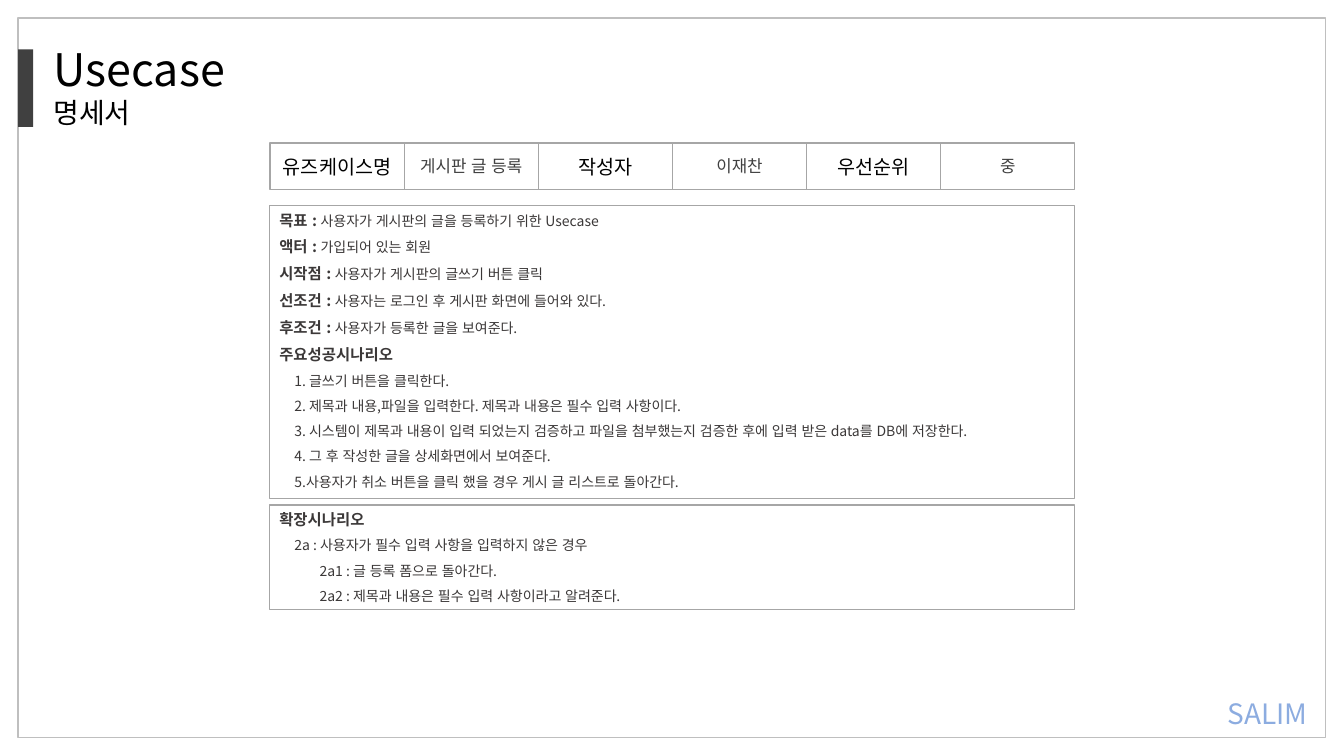
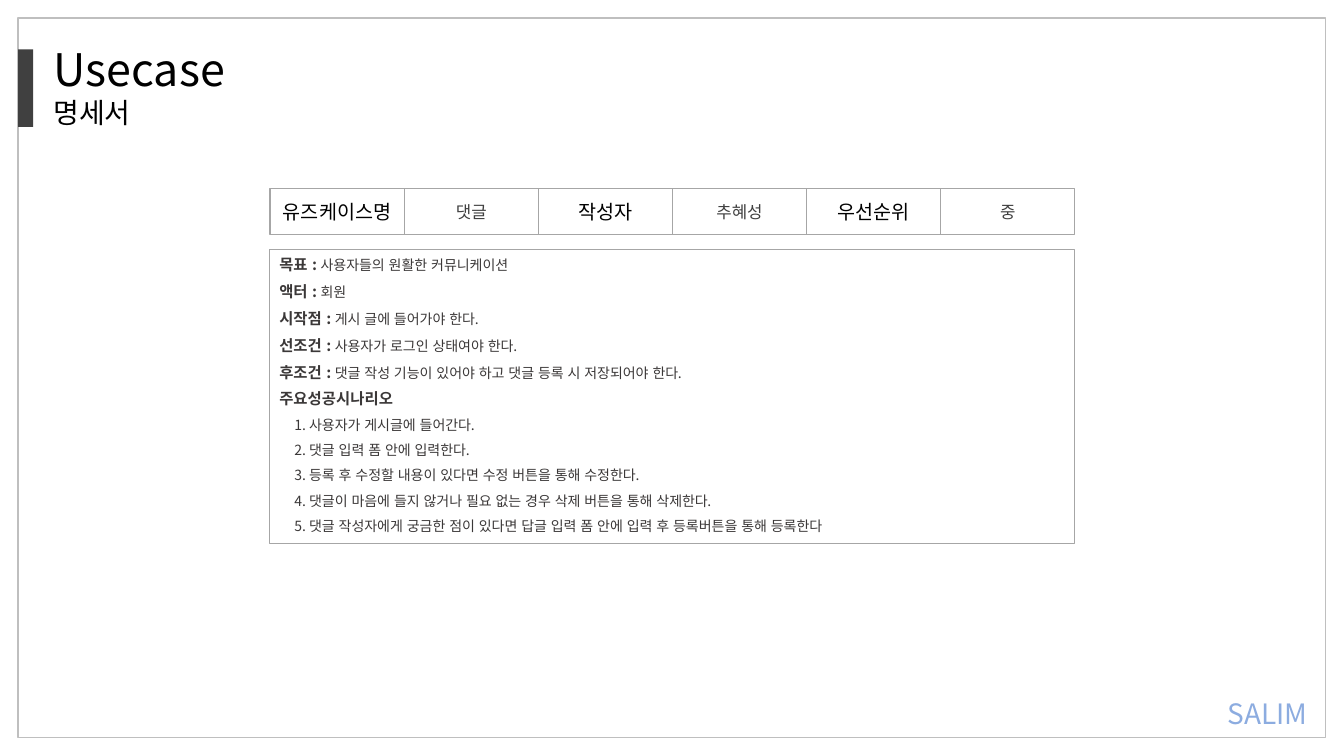
from lxml.etree import SubElement
from pptx import Presentation
from pptx.dml.color import RGBColor
from pptx.enum.lang import MSO_LANGUAGE_ID
from pptx.enum.shapes import MSO_SHAPE
from pptx.enum.text import MSO_ANCHOR, MSO_AUTO_SIZE, PP_ALIGN
from pptx.oxml.ns import qn
from pptx.util import Inches, Pt

FONT = "Noto Sans CJK KR"
COLORS = {"frame": "BFBFBF", "bar": "404040", "grid": "A6A6A6", "black": "000000",
          "value": "404040", "text": "3B3838", "brand": "8CACE0"}
LEFT, WIDTH = 2.67, 7.99

POST = {
    "top": 1.42,
    "body": 2.04,
    "head": ["유즈케이스명", "게시판 글 등록", "작성자", "이재찬", "우선순위", "중"],
    "facts": [("목표 : ", "사용자가 게시판의 글을 등록하기 위한 Usecase"),
              ("액터 : ", "가입되어 있는 회원"),
              ("시작점 : ", "사용자가 게시판의 글쓰기 버튼 클릭"),
              ("선조건 : ", "사용자는 로그인 후 게시판 화면에 들어와 있다."),
              ("후조건 : ", "사용자가 등록한 글을 보여준다.")],
    "steps": ["1. 글쓰기 버튼을 클릭한다.",
              "2. 제목과 내용,파일을 입력한다. 제목과 내용은 필수 입력 사항이다.",
              "3. 시스템이 제목과 내용이 입력 되었는지 검증하고 파일을 첨부했는지 "
              "검증한 후에 입력 받은 data를 DB에 저장한다.",
              "4. 그 후 작성한 글을 상세화면에서 보여준다.",
              "5.사용자가 취소 버튼을 클릭 했을 경우 게시 글 리스트로 돌아간다."],
    "extra": [(0.15, "2a : 사용자가 필수 입력 사항을 입력하지 않은 경우"),
              (0.4, "2a1 : 글 등록 폼으로 돌아간다."),
              (0.4, "2a2 : 제목과 내용은 필수 입력 사항이라고 알려준다.")],
}
REPLY = {
    "top": 1.87,
    "body": 2.48,
    "head": ["유즈케이스명", "댓글", "작성자", "추혜성", "우선순위", "중"],
    "facts": [("목표 : ", "사용자들의 원활한 커뮤니케이션"),
              ("액터 : ", "회원"),
              ("시작점 : ", "게시 글에 들어가야 한다."),
              ("선조건 : ", "사용자가 로그인 상태여야 한다."),
              ("후조건 : ", "댓글 작성 기능이 있어야 하고 댓글 등록 시 저장되어야 한다.")],
    "steps": ["1. 사용자가 게시글에 들어간다.",
              "2. 댓글 입력 폼 안에 입력한다.",
              "3. 등록 후 수정할 내용이 있다면 수정 버튼을 통해 수정한다.",
              "4. 댓글이 마음에 들지 않거나 필요 없는 경우 삭제 버튼을 통해 삭제한다.",
              "5. 댓글 작성자에게 궁금한 점이 있다면 답글 입력 폼 안에 입력 후 "
              "등록버튼을 통해 등록한다"],
    "extra": [],
}


def tint(name):
    return RGBColor.from_string(COLORS[name])


def write(para, text, size=10, color="text", bold=False, align=PP_ALIGN.LEFT):
    para.alignment = align
    run = para.add_run()
    run.text = text
    font = run.font
    font.name, font.size, font.bold = FONT, Pt(size), bold
    font.language_id = MSO_LANGUAGE_ID.KOREAN
    font.color.rgb = tint(color)
    font._element.set("kern", "0")
    SubElement(font._element, qn("a:ea")).set("typeface", FONT)


def place(shape, left, top, width, height):
    shape.left, shape.top = Inches(left), Inches(top)
    shape.width, shape.height = Inches(width), Inches(height)
    frame = shape.text_frame
    frame.word_wrap = True
    frame.auto_size = MSO_AUTO_SIZE.NONE
    frame.vertical_anchor = MSO_ANCHOR.TOP
    return frame


def block(slide, left, top, width, height, fill=None, line=None):
    shape = slide.shapes.add_shape(MSO_SHAPE.RECTANGLE, Inches(left), Inches(top),
                                   Inches(width), Inches(height))
    shape.shadow.inherit = False
    if fill:
        shape.fill.solid()
        shape.fill.fore_color.rgb = tint(fill)
    else:
        shape.fill.background()
    if line:
        shape.line.color.rgb = tint(line)
        shape.line.width = Pt(1)
    else:
        shape.line.fill.background()
    return shape


def base(slide):
    block(slide, 0.18, 0.18, 12.97, 7.14, line="frame")
    block(slide, 0.18, 0.49, 0.15, 0.77, fill="bar")
    title = place(slide.shapes.title, 0.43, 0.36, 5.31, 0.98)
    write(title.paragraphs[0], "Usecase", size=32, color="black")
    write(title.add_paragraph(), "명세서", size=20, color="black")
    brand = place(slide.shapes.add_textbox(0, 0, 0, 0), 12, 6.86, 1.14, 0.44)
    write(brand.paragraphs[0], "SALIM", size=20, color="brand", align=PP_ALIGN.CENTER)


def header(slide, left, top, width, height, labels):
    step = width / len(labels)
    for col, label in enumerate(labels):
        cell = block(slide, left + col * step, top, step, height, line="grid")
        frame = cell.text_frame
        frame.word_wrap = True
        frame.margin_left = frame.margin_right = Inches(0.05)
        frame.vertical_anchor = MSO_ANCHOR.MIDDLE
        size, color = (12, "value") if col % 2 else (14, "black")
        write(frame.paragraphs[0], label, size=size, color=color, align=PP_ALIGN.CENTER)


def panel(shape, left, top, width, height, rows):
    frame = place(shape, left, top, width, height)
    shape.line.color.rgb = tint("grid")
    shape.line.width = Pt(0.75)
    for row, (indent, name, text) in enumerate(rows):
        para = frame.add_paragraph() if row else frame.paragraphs[0]
        props = para._p.get_or_add_pPr()
        props.set("marL", str(Inches(indent)))
        props.set("indent", "0")
        SubElement(props, qn("a:buNone"))
        para.space_before = Pt(6 if row else 0)
        if name:
            write(para, name, size=11, bold=True)
        if text:
            write(para, text)


def usecase(deck, case):
    slide = deck.slides.add_slide(deck.slide_layouts[3 if case["extra"] else 1])
    base(slide)
    body = case["body"]
    header(slide, LEFT + 0.01, case["top"], WIDTH - 0.01, 0.46, case["head"])
    rows = [(0, name, text) for name, text in case["facts"]]
    rows.append((0, "주요성공시나리오", ""))
    rows += [(0.15, "", step) for step in case["steps"]]
    panel(slide.placeholders[1], LEFT, body, WIDTH, 2.91, rows)
    if case["extra"]:
        rows = [(0, "확장시나리오", "")]
        rows += [(indent, "", text) for indent, text in case["extra"]]
        panel(slide.placeholders[2], LEFT, body + 2.97, WIDTH, 1.04, rows)


def main():
    deck = Presentation()
    deck.slide_width, deck.slide_height = Inches(13.33), Inches(7.5)
    for case in (POST, REPLY):
        usecase(deck, case)
    deck.save("out.pptx")


if __name__ == "__main__":
    main()
